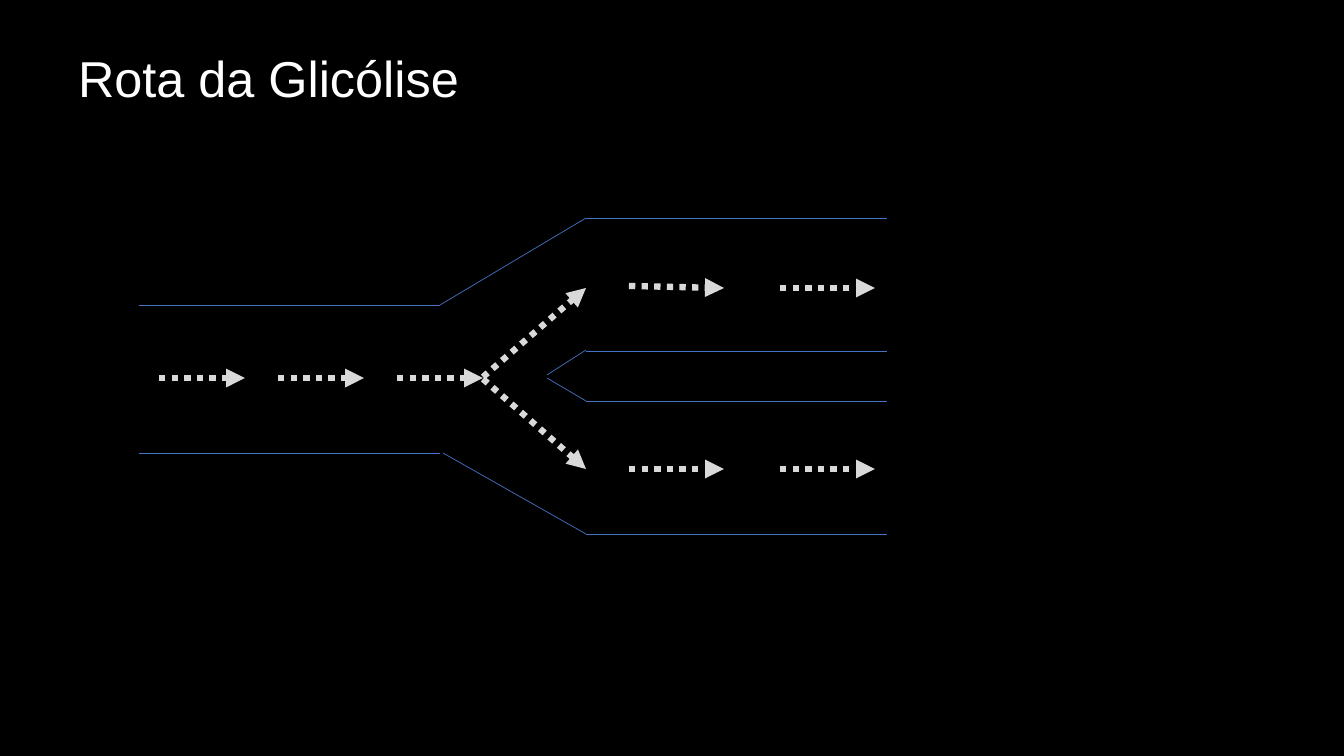
from pptx import Presentation
from pptx.dml.color import RGBColor
from pptx.enum.dml import MSO_LINE
from pptx.enum.shapes import MSO_CONNECTOR
from pptx.enum.text import MSO_ANCHOR, PP_ALIGN
from pptx.oxml.ns import qn
from pptx.util import Pt
from lxml.etree import SubElement

TITLE = "Rota da Glicólise"
COLORS = {"background": "000000", "title": "FFFFFF", "arrow": "D9D9D9", "wall": "4472C4"}

# Lengths in px; every line is (x1, y1, x2, y2)
PAGE_SIZE = (1344, 756)
TITLE_BOX = (68, 42, 609, 72)
EMU_PER_PX = 914400 / 100.8

ENTRY_ARROWS = [(159 + 119 * step, 378, 245 + 119 * step, 378) for step in range(3)]
FORK_ARROWS = [(483, 377, 586, 288), (483, 379, 586, 469)]
BRANCH_ARROWS = [
    (629, 286, 724, 288), (629, 469, 724, 469),
    (780, 288, 875, 288), (780, 469, 875, 469),
]
ENTRY_WALLS = [(139, y, 440, y) for y in (305, 453)]
BRANCH_WALLS = [(586, y, 887, y) for y in (534, 401, 351, 218)]
SLOPED_WALLS = [
    (440, 305, 586, 218), (443, 453, 586, 534),
    (547, 375, 586, 350), (547, 378, 586, 401),
]


def px(length):
    return round(length * EMU_PER_PX)


def color(name):
    return RGBColor.from_string(COLORS[name])


def add_line(page, ends, color_name, width):
    connector = page.shapes.add_connector(MSO_CONNECTOR.STRAIGHT, *map(px, ends))
    connector.line.color.rgb = color(color_name)
    connector.line.width = Pt(width)
    SubElement(connector._element.spPr, qn("a:effectLst"))
    return connector


def add_arrow(page, ends):
    line = add_line(page, ends, "arrow", 4.5).line
    line.dash_style = MSO_LINE.ROUND_DOT  # stored as sysDot
    SubElement(line._get_or_add_ln(), qn("a:tailEnd"), type="triangle")


def add_title(page):
    title = page.shapes.title
    title.left, title.top, title.width, title.height = map(px, TITLE_BOX)
    frame = title.text_frame
    frame.text = TITLE
    frame.vertical_anchor = MSO_ANCHOR.TOP
    para = frame.paragraphs[0]
    para.alignment = PP_ALIGN.LEFT
    para.font.name = "Arial"
    para.font.size = Pt(36)
    para.font.color.rgb = color("title")


def main():
    deck = Presentation()
    deck.slide_width, deck.slide_height = map(px, PAGE_SIZE)
    page = deck.slides.add_slide(deck.slide_layouts.get_by_name("Title Only"))
    page.background.fill.solid()
    page.background.fill.fore_color.rgb = color("background")

    for ends in ENTRY_ARROWS + FORK_ARROWS + BRANCH_ARROWS:
        add_arrow(page, ends)
    for ends in ENTRY_WALLS + BRANCH_WALLS + SLOPED_WALLS:
        add_line(page, ends, "wall", 0.5)
    add_title(page)
    deck.save("out.pptx")


if __name__ == "__main__":
    main()
